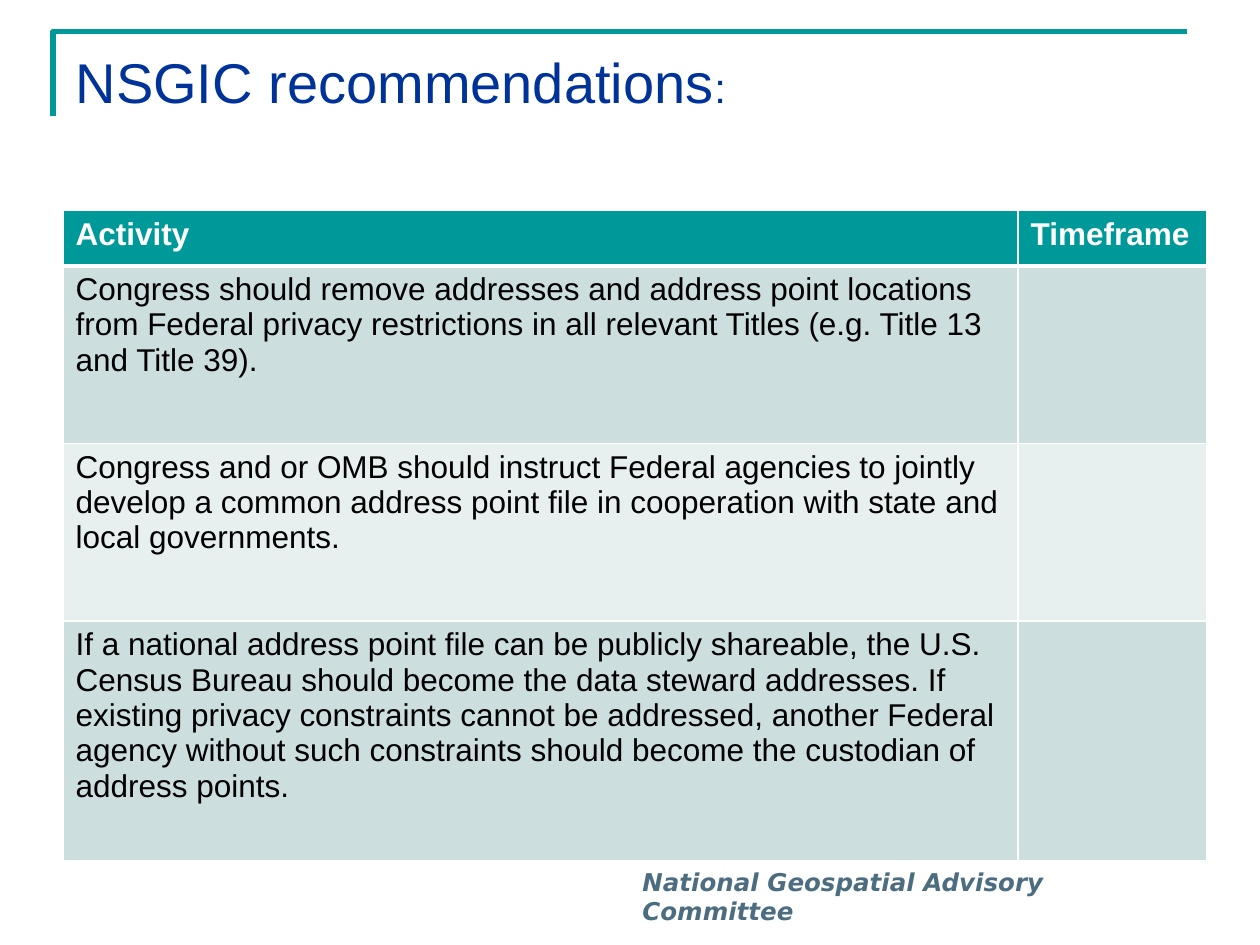
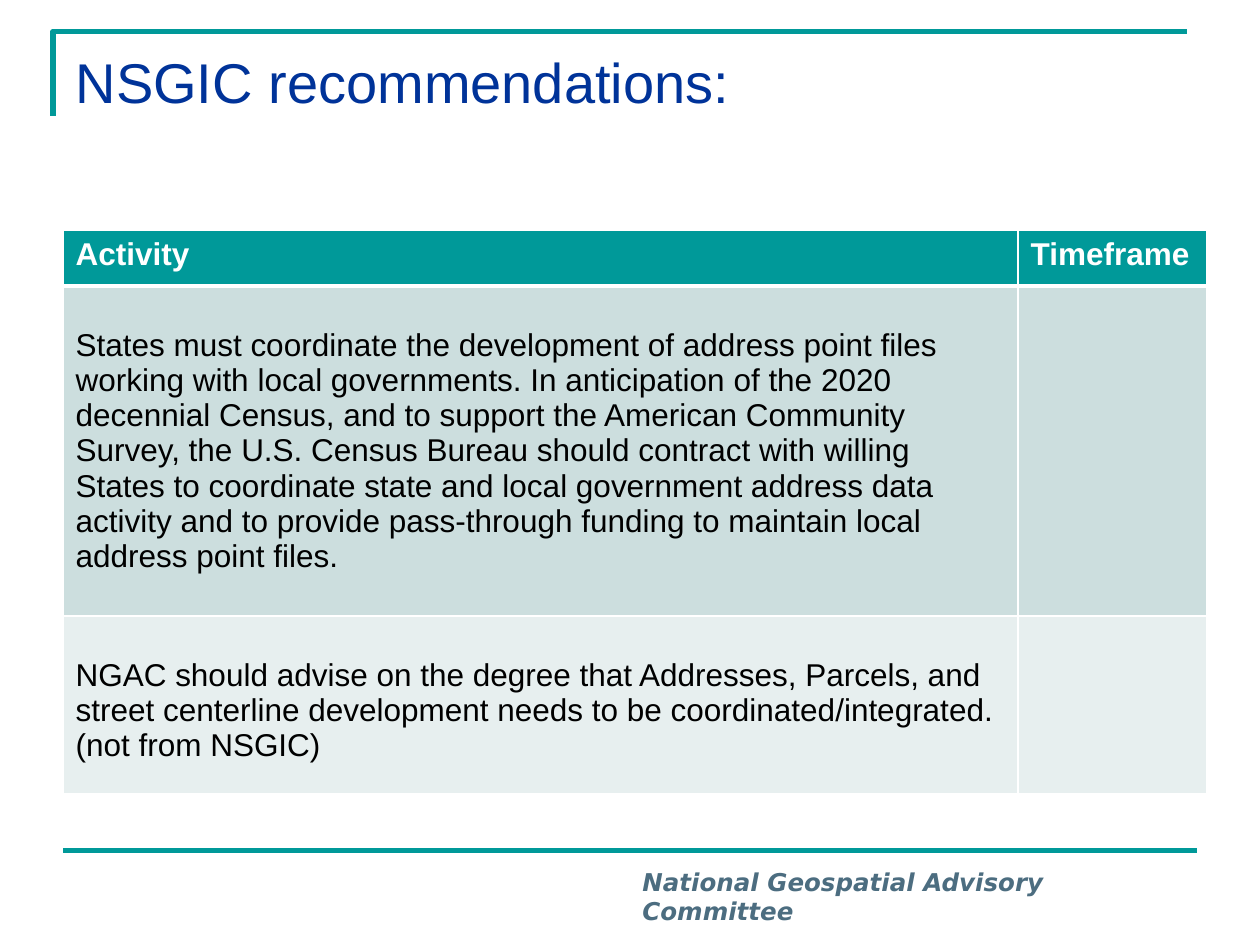
from lxml import etree
from pptx import Presentation
from pptx.dml.color import RGBColor
from pptx.enum.shapes import MSO_CONNECTOR
from pptx.enum.text import MSO_ANCHOR, MSO_AUTO_SIZE, PP_ALIGN
from pptx.oxml.ns import qn
from pptx.util import Inches, Pt

TEAL, NAVY, SLATE = "009999", "003399", "4C6D80"
WHITE, BLACK = "FFFFFF", "000000"
BANDS = ("CCDEDE", "E7EFEF")
COLUMN_WIDTHS = (7.58, 1.5)
HEADINGS = ("Activity", "Timeframe")
HEADER_HEIGHT = 0.44
TITLE_ONLY = 5


def colour(value):
    return RGBColor.from_string(value)


def add_run(para, text, size, shade, font="Arial", bold=False, italic=False):
    span = para.add_run()
    span.text = text
    span.font.name = font
    span.font.size = Pt(size)
    span.font.color.rgb = colour(shade)
    span.font.bold = bold
    span.font.italic = italic


def style_line(shape):
    shape.line.color.rgb = colour(TEAL)
    shape.line.width = Pt(3)


def add_frame(page, left=0.42, top=0.25, width=9, height=0.67):
    """Draw the corner bracket around the title and the rule above the footer."""
    outline = page.shapes.build_freeform(Inches(left), Inches(top + height))
    outline.add_line_segments(
        [(Inches(left), Inches(top)), (Inches(left + width), Inches(top))],
        close=False)
    bracket = outline.convert_to_shape()
    bracket.shadow.inherit = False
    bracket.fill.background()
    style_line(bracket)

    rule = page.shapes.add_connector(
        MSO_CONNECTOR.STRAIGHT,
        Inches(0.5), Inches(6.75), Inches(9.5), Inches(6.75))
    style_line(rule)
    etree.SubElement(rule.line._get_or_add_ln().getparent(), qn("a:effectLst"))


def add_footer(page, left=5, top=6.83, width=4.6, height=0.33):
    box = page.shapes.add_textbox(
        Inches(left), Inches(top), Inches(width), Inches(height))
    box.text_frame.word_wrap = True
    add_run(box.text_frame.paragraphs[0], "National Geospatial Advisory Committee",
            14, SLATE, "DejaVu Sans", bold=True, italic=True)


def fill_title(page, runs, height):
    title = page.shapes.title
    title.left, title.top = Inches(0.5), Inches(0.33)
    title.width, title.height = Inches(9), Inches(height)
    frame = title.text_frame
    frame.auto_size = MSO_AUTO_SIZE.NONE
    frame.vertical_anchor = MSO_ANCHOR.TOP
    para = frame.paragraphs[0]
    para.alignment = PP_ALIGN.LEFT
    for text, size in runs:
        add_run(para, text, size, NAVY)


def set_borders(cell, top, bottom):
    """Give a cell white borders; top and bottom are widths in points."""
    properties = cell._tc.get_or_add_tcPr()
    for side, width in (("L", 1), ("R", 1), ("T", top), ("B", bottom)):
        border = etree.SubElement(properties, qn(f"a:ln{side}"), w=str(Pt(width)))
        solid = etree.SubElement(border, qn("a:solidFill"))
        etree.SubElement(solid, qn("a:srgbClr"), val=WHITE)


def add_activity_table(page, top, activities, text_inset):
    """Add the table; activities are (text, row height) pairs."""
    rows = [(HEADINGS, HEADER_HEIGHT)]
    rows += [((text, ""), height) for text, height in activities]
    table = page.shapes.add_table(
        len(rows), len(HEADINGS), Inches(0.5), Inches(top),
        Inches(sum(COLUMN_WIDTHS)), Inches(sum(height for _, height in rows))).table
    table.horz_banding = False
    for column, width in zip(table.columns, COLUMN_WIDTHS):
        column.width = Inches(width)
    for index, (texts, height) in enumerate(rows):
        table.rows[index].height = Inches(height)
        header = index == 0
        for position, text in enumerate(texts):
            cell = table.cell(index, position)
            set_borders(cell, top=3 if index == 1 else 1, bottom=3 if header else 1)
            cell.fill.solid()
            cell.fill.fore_color.rgb = colour(TEAL if header else BANDS[(index - 1) % 2])
            if not header:
                cell.margin_top = Inches(text_inset)
            if text:
                add_run(cell.text_frame.paragraphs[0], text, 18,
                        WHITE if header else BLACK, bold=header)


def add_recommendations(deck, title_runs, title_height, table_top, activities,
                        text_inset=0.05):
    page = deck.slides.add_slide(deck.slide_layouts[TITLE_ONLY])
    add_frame(page)
    add_footer(page)
    fill_title(page, title_runs, title_height)
    add_activity_table(page, table_top, activities, text_inset)


def main():
    deck = Presentation()
    deck.slide_width, deck.slide_height = Inches(10), Inches(7.5)
    add_recommendations(
        deck, [("NSGIC recommendations", 32), (":", 24)], 1.25, 1.67,
        [("Congress should remove addresses and address point locations from "
          "Federal privacy restrictions in all relevant Titles (e.g. Title 13 "
          "and Title 39).", 1.41),
         ("Congress and or OMB should instruct Federal agencies to jointly "
          "develop a common address point file in cooperation with state and "
          "local governments.", 1.41),
         ("If a national address point file can be publicly shareable, the U.S. "
          "Census Bureau should become the data steward addresses. If existing "
          "privacy constraints cannot be addressed, another Federal agency "
          "without such constraints should become the custodian of address "
          "points.", 1.9)])
    add_recommendations(
        deck, [("NSGIC recommendations:", 32)], 0.75, 1.83,
        [("States must coordinate the development of address point files working "
          "with local governments. In anticipation of the 2020 decennial Census, "
          "and to support the American Community Survey, the U.S. Census Bureau "
          "should contract with willing States to coordinate state and local "
          "government address data activity and to provide pass-through funding "
          "to maintain local address point files.", 2.62),
         ("NGAC should advise on the degree that Addresses, Parcels, and street "
          "centerline development needs to be coordinated/integrated. (not from "
          "NSGIC)", 1.41)],
        text_inset=0.33)
    deck.save("out.pptx")


if __name__ == "__main__":
    main()
